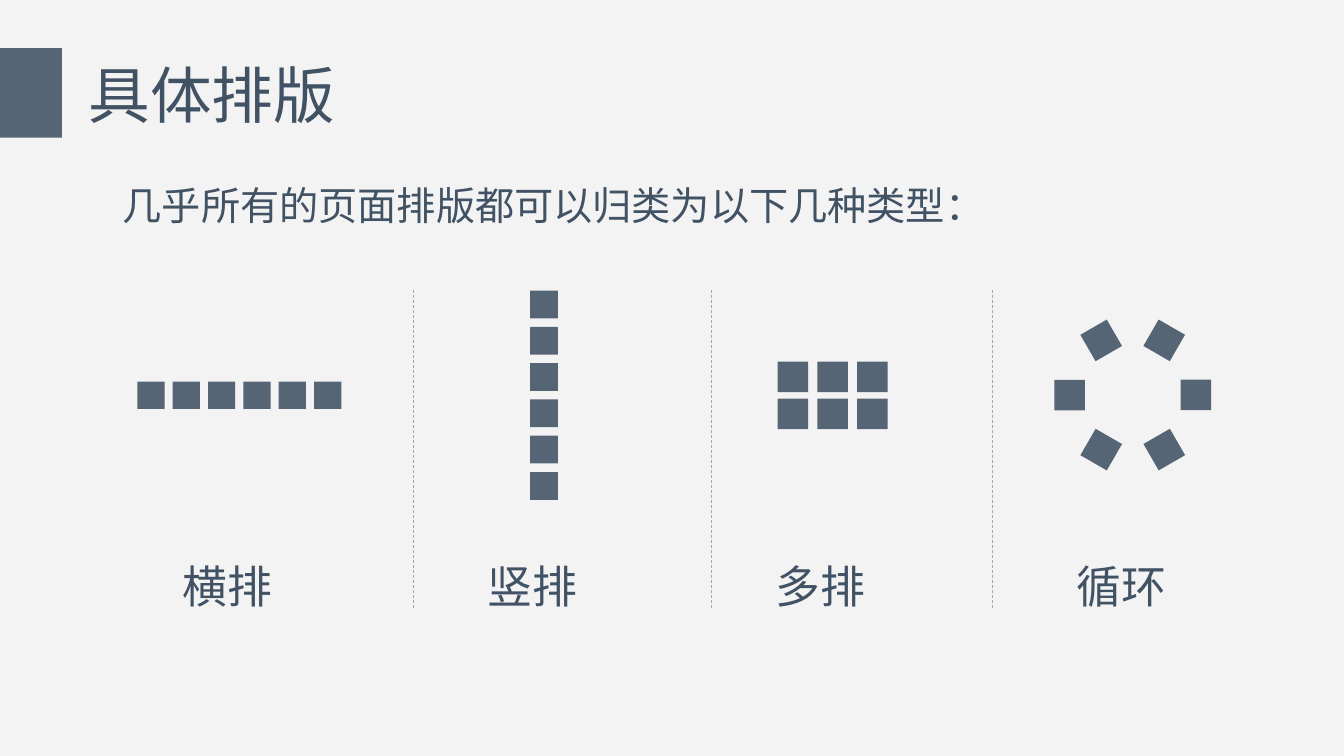
from dataclasses import dataclass
from math import cos, radians, sin

from lxml.etree import SubElement
from pptx import Presentation
from pptx.dml.color import RGBColor
from pptx.enum.dml import MSO_LINE
from pptx.enum.shapes import MSO_CONNECTOR, MSO_SHAPE
from pptx.enum.text import MSO_AUTO_SIZE, PP_ALIGN
from pptx.oxml.ns import qn
from pptx.util import Inches, Pt


@dataclass(frozen=True)
class Theme:
    """Colours, fonts and type sizes of the slide."""
    background: RGBColor = RGBColor(0xF3, 0xF3, 0xF3)
    ink: RGBColor = RGBColor(0x41, 0x52, 0x64)
    divider: RGBColor = RGBColor(0xA6, 0xA6, 0xA6)
    font: str = "Noto Sans CJK SC"
    lead_font: str = "Arial"
    title_size: Pt = Pt(44)
    label_size: Pt = Pt(32)
    lead_size: Pt = Pt(28)
    opacity: int = 88000


THEME = Theme()
WIDTH, HEIGHT = Inches(13.33), Inches(7.5)
COLUMN, ROW = WIDTH / 100, HEIGHT / 100
LABELS = {"横排": 12.83, "竖排": 35.55, "多排": 57, "循环": 79.35}
DIVIDERS = (30.75, 52.95, 73.8)


def columns(count):
    """Return the length of a number of grid columns."""
    return round(count * COLUMN)


def rows(count):
    """Return the length of a number of grid rows."""
    return round(count * ROW)


def set_attributes(target, values):
    """Set each named attribute of the target."""
    for name, value in values.items():
        setattr(target, name, value)


def add_block(shapes, left, top, width, height, rotation=0):
    """Add a translucent rectangle given in slide lengths."""
    shape = shapes.add_shape(MSO_SHAPE.RECTANGLE, left, top, width, height)
    shape.shadow.inherit = False
    shape.rotation = rotation
    shape.fill.solid()
    shape.fill.fore_color.rgb = THEME.ink
    shape.line.fill.background()
    color = shape.fill._xPr.find(qn("a:solidFill"))[0]
    SubElement(color, qn("a:alpha")).set("val", str(THEME.opacity))


def add_square(shapes, center_column, center_row, side, rotation=0):
    """Add a square around a grid point, its side in columns."""
    length = columns(side)
    add_block(shapes, columns(center_column) - length // 2,
              rows(center_row) - length // 2, length, length, rotation)


def add_text(shapes, text, box, size, font=THEME.font, alignment=None):
    """Add one line of text in a box of columns and rows."""
    left, top, width, height = box
    shape = shapes.add_textbox(columns(left), rows(top), columns(width), rows(height))
    set_attributes(shape.text_frame, {
        "word_wrap": True, "auto_size": MSO_AUTO_SIZE.SHAPE_TO_FIT_TEXT})
    paragraph = shape.text_frame.paragraphs[0]
    paragraph.alignment = alignment
    run = paragraph.add_run()
    run.text = text
    set_attributes(run.font, {"size": size, "name": font})
    run.font.color.rgb = THEME.ink
    SubElement(run.font._element, qn("a:ea")).set("typeface", THEME.font)


def add_divider(shapes, column):
    """Add a thin dashed vertical line."""
    connector = shapes.add_connector(MSO_CONNECTOR.STRAIGHT, columns(column),
                                     rows(38.4), columns(column), rows(80.4))
    set_attributes(connector.line, {"width": Pt(0.5), "dash_style": MSO_LINE.DASH})
    connector.line.color.rgb = THEME.divider
    SubElement(connector._element.spPr, qn("a:effectLst"))


def add_grid(shapes, start, pitch, counts, side, rotation=0):
    """Add squares in evenly spaced columns and rows."""
    for row in range(counts[1]):
        for column in range(counts[0]):
            add_square(shapes, start[0] + column * pitch[0],
                       start[1] + row * pitch[1], side, rotation)


def add_ring(shapes, center, radius, count, side):
    """Add squares around a circle, each turned outwards."""
    for index in range(count):
        angle = 180 + index * 360 / count
        add_square(shapes, center[0] + radius * cos(radians(angle)),
                   center[1] + radius * sin(radians(angle)) * COLUMN / ROW,
                   side, (angle + 90) % 360)


def add_heading(slide):
    """Add the title with its accent block."""
    shapes = slide.shapes.add_group_shape().shapes
    add_block(shapes, columns(-0.23), rows(6.35), columns(4.83), rows(11.87))
    add_text(shapes, "具体排版", (5.85, 6.93, 21.23, 11.2), THEME.title_size)


def add_layouts(slide):
    """Add the four arrangements with labels and dividers."""
    shapes = slide.shapes.add_group_shape().shapes
    add_grid(shapes, (11.23, 52.3), (2.63, 0), (6, 1), 2.03)
    add_grid(shapes, (40.48, 40.27), (0, 4.8), (1, 6), 2.07, 270)
    add_grid(shapes, (59, 49.85), (2.95, 4.9), (3, 2), 2.27)
    add_ring(shapes, (84.28, 52.25), 4.69, 6, 2.27)
    for label, left in LABELS.items():
        add_text(shapes, label, (left, 73.2, 9.9, 8.53), THEME.label_size,
                 alignment=PP_ALIGN.JUSTIFY)
    for column in DIVIDERS:
        add_divider(shapes, column)


def main():
    """Build and save the slide."""
    presentation = Presentation()
    set_attributes(presentation, {"slide_width": WIDTH, "slide_height": HEIGHT})
    slide = presentation.slides.add_slide(presentation.slide_layouts[6])
    slide.background.fill.solid()
    slide.background.fill.fore_color.rgb = THEME.background
    add_heading(slide)
    add_layouts(slide)
    add_text(slide.shapes, "几乎所有的页面排版都可以归类为以下几种类型：",
             (8.4, 23.33, 69.83, 7.6), THEME.lead_size, THEME.lead_font)
    presentation.save("out.pptx")


if __name__ == "__main__":
    main()
